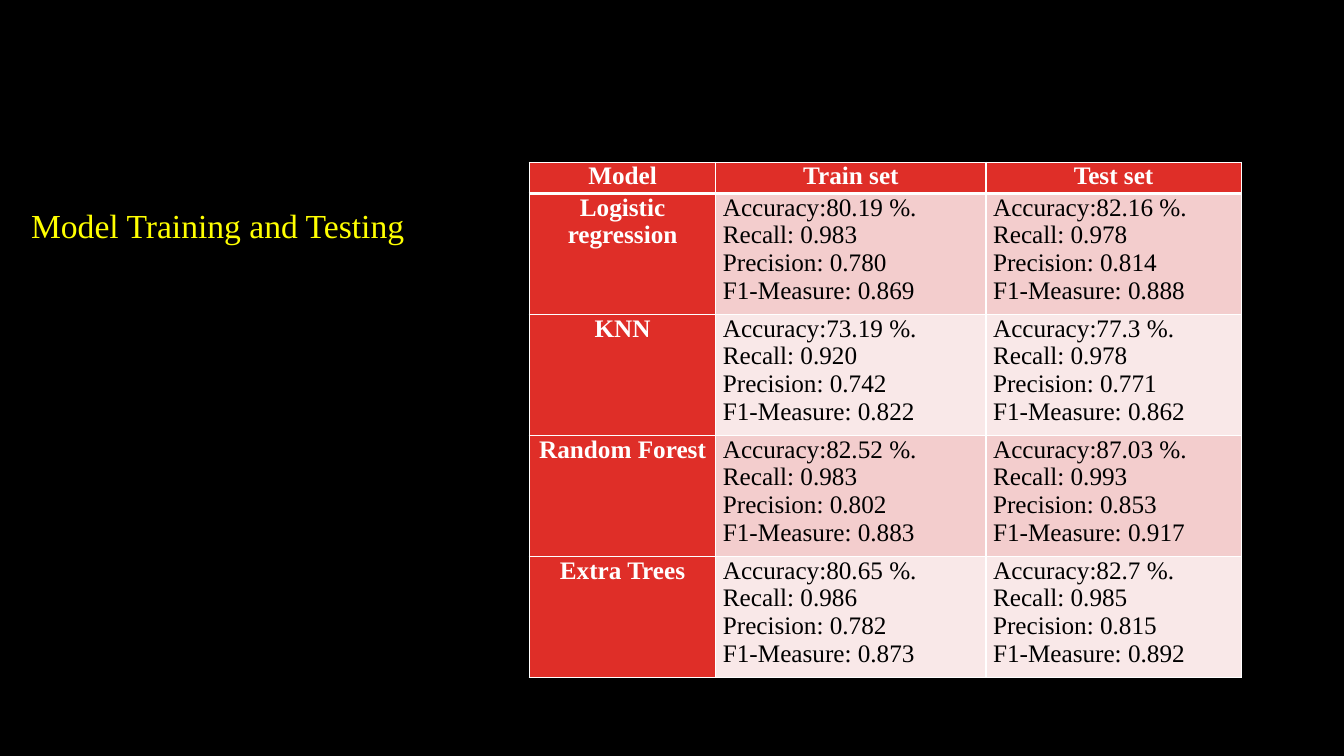
from lxml import etree
from pptx import Presentation, util as u
from pptx.dml.color import RGBColor
from pptx.enum import text
from pptx.oxml import ns

TITLE = "Model Training and Testing"
HEADINGS = ("Model", "Train set", "Test set")
METRICS = ("Accuracy:{} %.", "Recall: {}", "Precision: {}", "F1-Measure: {}")
RESULTS = {
    "Logistic regression": (("80.19", "0.983", "0.780", "0.869"),
                            ("82.16", "0.978", "0.814", "0.888")),
    "KNN": (("73.19", "0.920", "0.742", "0.822"),
            ("77.3", "0.978", "0.771", "0.862")),
    "Random Forest": (("82.52", "0.983", "0.802", "0.883"),
                      ("87.03", "0.993", "0.853", "0.917")),
    "Extra Trees": (("80.65", "0.986", "0.782", "0.873"),
                    ("82.7", "0.985", "0.815", "0.892")),
}

BLACK = RGBColor(0x00, 0x00, 0x00)
WHITE = RGBColor(0xFF, 0xFF, 0xFF)
YELLOW = RGBColor(0xFF, 0xFF, 0x00)
RED = RGBColor(0xDF, 0x2E, 0x28)
BANDS = (RGBColor(0xF3, 0xCD, 0xCD), RGBColor(0xF9, 0xE8, 0xE8))

FONT = "Times New Roman"
COLUMNS = (1.85, 2.68, 2.53)
HEADER_HEIGHT, ROW_HEIGHT = 0.31, 1.2
TABLE_LEFT, TABLE_TOP = 5.25, 1.61
THIN, THICK = 1, 3


def write(frame, lines, size=18, color=BLACK, bold=False, align=None):
    for index, line in enumerate(lines):
        para = frame.paragraphs[0] if index == 0 else frame.add_paragraph()
        para.alignment = align
        span = para.add_run()
        span.text = line
        span.font.name, span.font.size = FONT, u.Pt(size)
        span.font.bold, span.font.color.rgb = bold, color


def add_border(cell, side, points):
    """Draw one side (L, R, T or B) of a cell; call before the cell is filled."""
    line = etree.SubElement(cell._tc.get_or_add_tcPr(), ns.qn("a:ln" + side),
                            w=str(u.Pt(points)))
    fill = etree.SubElement(line, ns.qn("a:solidFill"))
    etree.SubElement(fill, ns.qn("a:srgbClr"), val=str(WHITE))


def style_cell(cell, row, fill):
    cell.margin_left = cell.margin_right = u.Inches(0.07)
    cell.margin_top = cell.margin_bottom = 0
    for side in "LRTB":
        under_header = (row, side) in ((0, "B"), (1, "T"))
        add_border(cell, side, THICK if under_header else THIN)
    cell.fill.solid()
    cell.fill.fore_color.rgb = fill


def add_title(page):
    box = page.shapes.add_textbox(u.Inches(0.21), u.Inches(1.98),
                                  u.Inches(4.91), u.Inches(0.5))
    box.text_frame.word_wrap = True
    box.text_frame.auto_size = text.MSO_AUTO_SIZE.SHAPE_TO_FIT_TEXT
    write(box.text_frame, [TITLE], size=24, color=YELLOW)


def add_results(page):
    rows = [[[heading] for heading in HEADINGS]]
    for model, scores in RESULTS.items():
        rows.append([[model]] + [
            [metric.format(value) for metric, value in zip(METRICS, values)]
            for values in scores])
    heights = [HEADER_HEIGHT] + [ROW_HEIGHT] * len(RESULTS)
    table = page.shapes.add_table(
        len(rows), len(COLUMNS), u.Inches(TABLE_LEFT), u.Inches(TABLE_TOP),
        u.Inches(sum(COLUMNS)), u.Inches(sum(heights))).table
    table.first_col = True
    for column, width in zip(table.columns, COLUMNS):
        column.width = u.Inches(width)
    for row, (cells, height) in enumerate(zip(rows, heights)):
        table.rows[row].height = u.Inches(height)
        for col, lines in enumerate(cells):
            cell = table.cell(row, col)
            if row == 0 or col == 0:
                style_cell(cell, row, RED)
                write(cell.text_frame, lines, color=WHITE, bold=True,
                      align=text.PP_ALIGN.CENTER)
            else:
                style_cell(cell, row, BANDS[(row - 1) % 2])
                write(cell.text_frame, lines, align=text.PP_ALIGN.JUSTIFY)


def main():
    deck = Presentation()
    deck.slide_width, deck.slide_height = u.Inches(13.33), u.Inches(7.5)
    page = deck.slides.add_slide(deck.slide_layouts[6])
    page.background.fill.solid()
    page.background.fill.fore_color.rgb = BLACK
    add_title(page)
    add_results(page)
    deck.save("out.pptx")


if __name__ == "__main__":
    main()
